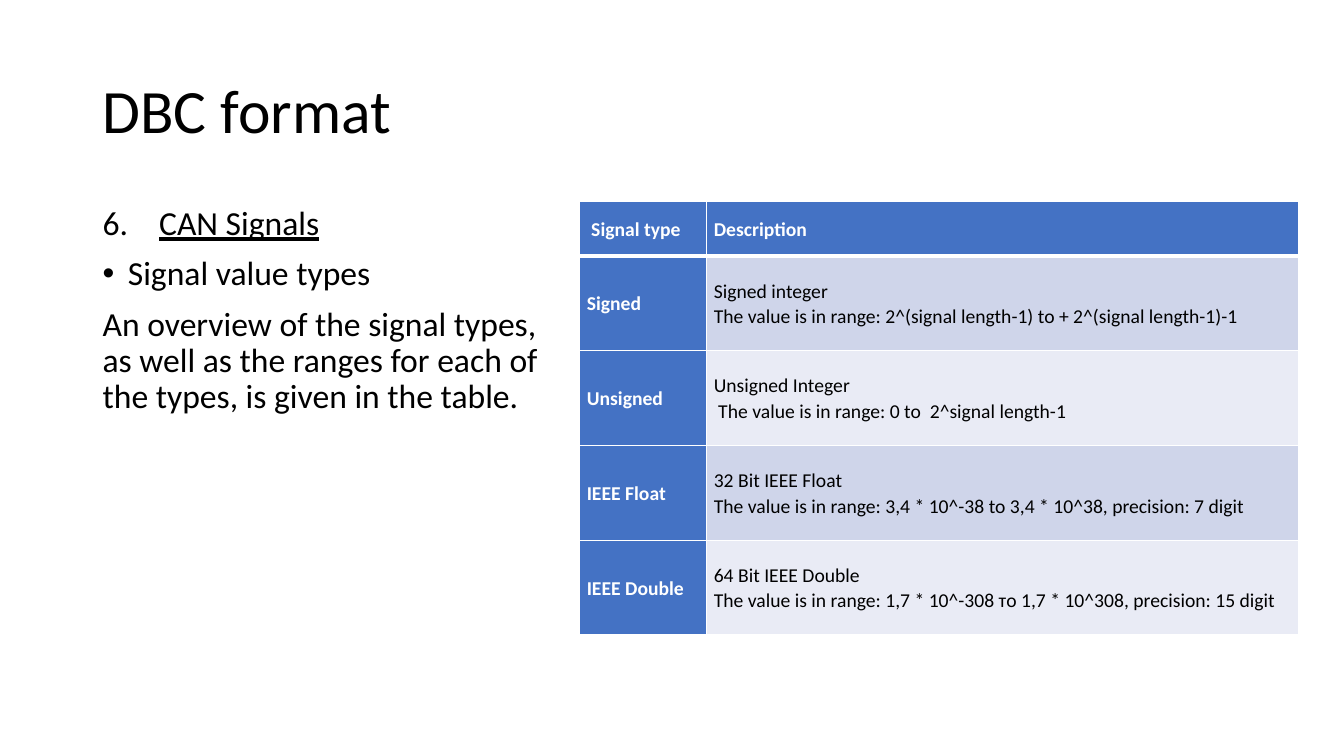
from lxml.etree import SubElement as Sub
from pptx import Presentation
from pptx.dml.color import RGBColor
from pptx.enum.text import MSO_ANCHOR as Anchor
from pptx.oxml.ns import qn
from pptx.util import Pt

PX = 9144
FONT = "Calibri"
BLACK = RGBColor(0, 0, 0)
WHITE = RGBColor(255, 255, 255)
BLUE = RGBColor(0x44, 0x72, 0xC4)
BANDS = RGBColor(0xCF, 0xD5, 0xEA), RGBColor(0xE9, 0xEB, 0xF5)

COLS = 126, 587
ROWS = 54, 94, 94, 94, 94
CELLS = [
    (" Signal type", ["Description"]),
    ("Signed", ["Signed integer",
                "The value is in range: 2^(signal length-1) to + 2^(signal length-1)-1"]),
    ("Unsigned", ["Unsigned Integer",
                  " The value is in range: 0 to  2^signal length-1"]),
    ("IEEE Float", ["32 Bit IEEE Float",
                    "The value is in range: 3,4 * 10^-38 to 3,4 * 10^38, precision: 7 digit"]),
    ("IEEE Double", ["64 Bit IEEE Double",
                     "The value is in range: 1,7 * 10^-308 тo 1,7 * 10^308, precision: 15 digit"]),
]


def px(*nums):
    """Turn px lengths into EMU."""
    return [num * PX for num in nums]


def write(frame, text, size=24, color=BLACK, bold=False, line=False,
          lead=0.9, before=0, indent=0, mark=None):
    """Add one formatted paragraph to a text frame."""
    para = frame.paragraphs[0]
    if para.runs:
        para = frame.add_paragraph()
    para.line_spacing, para.space_before = lead, Pt(before)
    run = para.add_run()
    run.text = text
    font = run.font
    font.name, font.size, font.bold, font.underline = FONT, Pt(size), bold, line
    font.color.rgb = color
    if mark:
        props = para._p.get_or_add_pPr()
        props.set("marL", str(indent * PX))
        props.set("indent", str(-indent * PX))
        tag, attrs = mark
        if tag == "buChar":
            Sub(props, qn("a:buFont"), typeface="Arial")
        Sub(props, qn("a:" + tag), **attrs)


def add_box(slide, box, anchor=Anchor.TOP):
    """Add a wrapping text box and return its frame."""
    frame = slide.shapes.add_textbox(*px(*box)).text_frame
    frame.word_wrap, frame.vertical_anchor = True, anchor
    return frame


def add_title(slide, box):
    """Place the slide heading."""
    write(add_box(slide, box, Anchor.MIDDLE), "DBC format", size=44)


def add_body(slide, box):
    """Place the numbered topic, its bullet and the overview."""
    frame = add_box(slide, box)
    number = "buAutoNum", {"type": "arabicPeriod", "startAt": "6"}
    write(frame, "CAN Signals", line=True, before=10, indent=56, mark=number)
    write(frame, "Signal value types", before=10, indent=25,
          mark=("buChar", {"char": "•"}))
    write(frame, "An overview of the signal types, as well as the ranges "
          "for each of the types, is given in the table.", before=10)


def set_edges(cell, **widths):
    """Draw white cell borders with the given widths in points."""
    props = cell._tc.get_or_add_tcPr()
    for spot, (side, width) in enumerate(widths.items()):
        edge = Sub(props, qn("a:ln" + side), w=str(Pt(width)))
        fill = Sub(edge, qn("a:solidFill"))
        Sub(fill, qn("a:srgbClr"), val=str(WHITE))
        props.insert(spot, edge)


def add_grid(slide, left, top):
    """Place the table of signal types."""
    box = px(left, top, sum(COLS), sum(ROWS))
    table = slide.shapes.add_table(len(ROWS), len(COLS), *box).table
    for col, width in zip(table.columns, COLS):
        col.width = width * PX
    for row, height in zip(table.rows, ROWS):
        row.height = height * PX
    for r, (name, lines) in enumerate(CELLS):
        for c, texts in enumerate(([name], lines)):
            cell = table.cell(r, c)
            head = r == 0 or c == 0
            cell.vertical_anchor = Anchor.MIDDLE
            cell.margin_left = cell.margin_right = 7 * PX
            cell.margin_top = cell.margin_bottom = 0
            cell.fill.solid()
            cell.fill.fore_color.rgb = BLUE if head else BANDS[(r - 1) % 2]
            set_edges(cell, L=1, R=1, T=3 if r == 1 else 1, B=3 if r == 0 else 1)
            for text in texts:
                write(cell.text_frame, text, size=14, lead=1.07, bold=head,
                      color=WHITE if head else BLACK)


def main():
    """Build and save the slide."""
    deck = Presentation()
    deck.slide_width, deck.slide_height = px(1333, 750)
    slide = deck.slides.add_slide(deck.slide_layouts[6])
    add_title(slide, (92, 40, 1150, 145))
    add_body(slide, (92, 200, 484, 476))
    add_grid(slide, 575, 200)
    deck.save("out.pptx")


if __name__ == "__main__":
    main()
